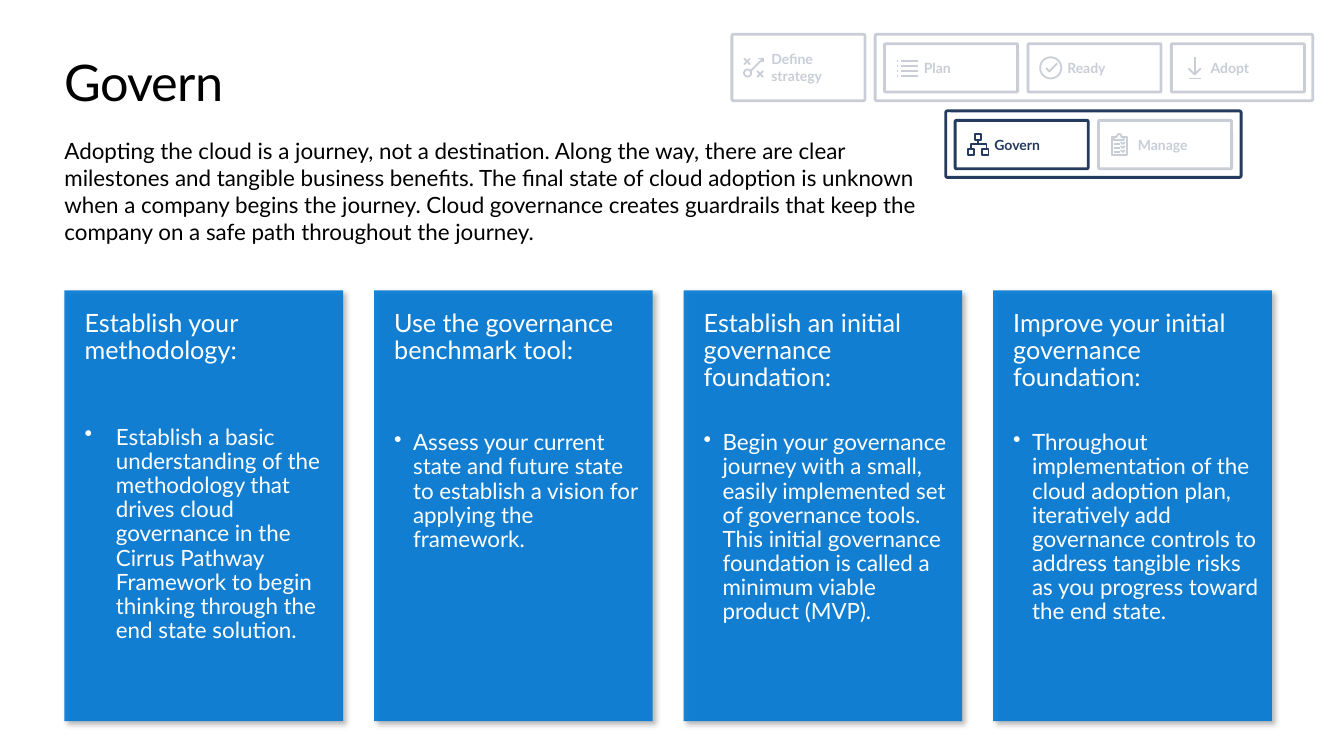
import math
from dataclasses import dataclass

import lxml.etree
import pptx
import pptx.dml.color
import pptx.enum.shapes
import pptx.enum.text
import pptx.oxml.ns
import pptx.util

Pt = pptx.util.Pt
MSO = pptx.enum.shapes.MSO_SHAPE
ANCHOR = pptx.enum.text.MSO_ANCHOR
qn = pptx.oxml.ns.qn

W, H = pptx.util.Inches(13.33), pptx.util.Inches(7.5)
ICON_UNIT = W / 1333
ICON_SIZE = 21


@dataclass(frozen=True)
class Theme:
    font: str = "Lato"
    black: str = "000000"
    white: str = "FFFFFF"
    navy: str = "243A5E"
    blue: str = "0078D4"
    title: float = 36
    heading: float = 18
    body: float = 16
    label: float = 10
    frame_line: float = 2
    icon_line: float = 1.25


THEME = Theme()


def across(share):
    return round(W * share / 100)


def down(share):
    return round(H * share / 100)


def area(left, top, width, height):
    return across(left), down(top), across(width), down(height)


def rgb(color):
    return pptx.dml.color.RGBColor.from_string(color)


def circle(cx, cy, radius, steps=36):
    return [(cx + radius * math.cos(2 * math.pi * i / steps),
             cy + radius * math.sin(2 * math.pi * i / steps)) for i in range(steps + 1)]


def square(x, y, side=6):
    return [(x, y), (x + side, y), (x + side, y + side), (x, y + side), (x, y)]


def cross(x, y, side=6):
    return [[(x, y), (x + side, y + side)], [(x + side, y), (x, y + side)]]


STRATEGY = cross(0, 1.5) + cross(13, 14) + [
    circle(3.5, 16, 3.5), [(6, 14.5), (19, 1.5)], [(19, 5.5), (19, 1.5), (14, 1.5)]]
PLAN = [[(x1, y), (x2, y)] for y in (3.5, 8.5, 13.5, 18.5) for x1, x2 in ((4, 21), (0, 1))]
READY = [circle(10.5, 10.5, 10.5), [(6, 10.5), (9, 14), (17, 6)]]
ADOPT = [[(17, 11), (11, 17), (5, 11)], [(11, 17), (11, 0)], [(5, 21), (17, 21)]]
GOVERN = [square(1, 15), square(15, 15), square(8, 0), [(11, 6), (11, 10)],
          [(19, 15), (19, 10), (4, 10), (4, 15)]]
MANAGE = [
    [(3, 3), (1, 3), (1, 21), (16, 21), (16, 3), (13, 3)],
    [(3, 3), (6, 3), (6, 2), (7, 0.5), (8.5, 0), (10, 0.5), (10.5, 2), (10.5, 3),
     (13, 3), (13, 6), (3, 6), (3, 3)],
] + [stroke for y in (10, 14, 18)
     for stroke in ([(3, y), (9, y)], [(10, y - 2), (12, y), (14, y - 2)])]

CARDS = [
    ("Establish your methodology:",
     "Establish a basic understanding of the methodology that drives cloud governance in the "
     "Cirrus Pathway Framework to begin thinking through the end state solution.", 43.5, 2.33),
    ("Use the governance benchmark tool:",
     "Assess your current state and future state to establish a vision for applying the "
     "framework.", 47.5, 1.41),
    ("Establish an initial governance foundation:",
     "Begin your governance journey with a small, easily implemented set of governance tools. "
     "This initial governance foundation is called a minimum viable product (MVP).", 28, 1.41),
    ("Improve your initial governance foundation:",
     "Throughout implementation of the cloud adoption plan, iteratively add governance controls "
     "to address tangible risks as you progress toward the end state.", 28, 1.41),
]


def add_run(p, text, size, color, bold=False):
    r = p.add_run()
    r.text = text
    r.font.name, r.font.size, r.font.bold = THEME.font, Pt(size), bold
    r.font.color.rgb = rgb(color)
    return r


def prepare_frame(tf, anchor, left=0, top=0, right=0, bottom=0):
    tf.word_wrap = True
    tf.vertical_anchor = anchor
    tf.margin_left, tf.margin_right = across(left), across(right)
    tf.margin_top, tf.margin_bottom = down(top), down(bottom)
    tf.paragraphs[0].alignment = pptx.enum.text.PP_ALIGN.LEFT
    return tf


def add_text(slide, box, text, size, anchor, **margins):
    tf = prepare_frame(slide.shapes.add_textbox(*box).text_frame, anchor, **margins)
    return add_run(tf.paragraphs[0], text, size, THEME.black)


def add_panel(slide, box, color, opacity):
    s = slide.shapes.add_shape(MSO.RECTANGLE, *box)
    s.shadow.inherit = False
    s.fill.solid()
    s.fill.fore_color.rgb = rgb(color)
    s.line.fill.background()
    clr = s._element.spPr.find(qn("a:solidFill")).find(qn("a:srgbClr"))
    lxml.etree.SubElement(clr, qn("a:alpha"), val=str(opacity * 1000))
    return s


def outline(s, width):
    s.shadow.inherit = False
    s.line.color.rgb = rgb(THEME.navy)
    s.line.width = Pt(width)


def add_frame(slide, box):
    s = slide.shapes.add_shape(MSO.ROUNDED_RECTANGLE, *box)
    s.adjustments[0] = 0.025
    s.fill.background()
    outline(s, THEME.frame_line)
    return s


def add_icon(slide, left, top, strokes):
    scaled = [[(x * ICON_UNIT, y * ICON_UNIT) for x, y in stroke] for stroke in strokes]
    builder = slide.shapes.build_freeform(*scaled[0][0], scale=1.0)
    for i, stroke in enumerate(scaled):
        if i:
            builder.move_to(*stroke[0])
        builder.add_line_segments(stroke[1:], close=False)
    s = builder.convert_to_shape(left, top)
    s.fill.background()
    outline(s, THEME.icon_line)


def add_stage(slide, box, label, strokes):
    s = add_frame(slide, box)
    s.fill.solid()
    s.fill.fore_color.rgb = rgb(THEME.white)
    tf = prepare_frame(s.text_frame, ANCHOR.MIDDLE, left=2.9)
    add_run(tf.paragraphs[0], label, THEME.label, THEME.navy, bold=True)
    left, top, _, height = box
    add_icon(slide, left + across(0.9), round(top + (height - ICON_SIZE * ICON_UNIT) / 2), strokes)


def add_shadow(s):
    effects = s._element.spPr.find(qn("a:effectLst"))
    shadow = lxml.etree.SubElement(effects, qn("a:outerShdw"), blurRad=str(Pt(4)),
                                   dist=str(Pt(3)), dir="2700000", algn="tl", rotWithShape="0")
    clr = lxml.etree.SubElement(shadow, qn("a:srgbClr"), val=THEME.black)
    lxml.etree.SubElement(clr, qn("a:alpha"), val="30000")


def add_card(slide, box, heading, detail, gap, indent):
    s = add_panel(slide, box, THEME.blue, 90)
    add_shadow(s)
    tf = prepare_frame(s.text_frame, ANCHOR.TOP, left=1.5, top=2.67, right=0.75)
    p = tf.paragraphs[0]
    p.line_spacing = 0.9
    add_run(p, heading, THEME.heading, THEME.white)
    p = tf.add_paragraph()
    p.alignment = pptx.enum.text.PP_ALIGN.LEFT
    p.line_spacing = 0.9
    p.space_before = Pt(gap)
    pPr = p._p.get_or_add_pPr()
    pPr.set("marL", str(across(indent)))
    pPr.set("indent", str(-across(indent)))
    lxml.etree.SubElement(pPr, qn("a:buChar"), char="•")
    add_run(p, detail, THEME.body, THEME.white)


def main():
    prs = pptx.Presentation()
    prs.slide_width, prs.slide_height = W, H
    slide = prs.slides.add_slide(prs.slide_layouts[6])

    r = add_text(slide, area(4.8, 6.67, 45, 8.13), "Govern", THEME.title, ANCHOR.MIDDLE)
    r._r.get_or_add_rPr().set("spc", "-50")
    add_text(slide, area(4.8, 17.47, 64.97, 15.73),
             "Adopting the cloud is a journey, not a destination. Along the way, there are clear "
             "milestones and tangible business benefits. The final state of cloud adoption is "
             "unknown when a company begins the journey. Cloud governance creates guardrails that "
             "keep the company on a safe path throughout the journey.",
             THEME.body, ANCHOR.TOP, top=0.67, right=0.75, bottom=0.67)

    add_stage(slide, area(54.46, 4.53, 9.9, 8.8), "Define strategy ", STRATEGY)
    groups = [
        (65.12, 4.53, 32.56, [("Plan", PLAN), ("Ready", READY), ("Adopt", ADOPT)]),
        (70.37, 14.67, 21.98, [("Govern", GOVERN), ("Manage", MANAGE)]),
    ]
    for left, top, width, stages in groups:
        add_frame(slide, area(left, top, width, 8.8))
        for i, (label, strokes) in enumerate(stages):
            add_stage(slide, area(left + 0.7 + i * 10.67, top + 1.25, 9.9, 6.4), label, strokes)
    for veil in ((53.71, 3.2, 44.26, 10.8), (81.62, 15.33, 10.35, 7.73)):
        add_panel(slide, area(*veil), THEME.white, 75)

    for i, card in enumerate(CARDS):
        add_card(slide, area(4.8 + i * 23.03, 38.4, 20.74, 57), *card)
    prs.save("out.pptx")


if __name__ == "__main__":
    main()
